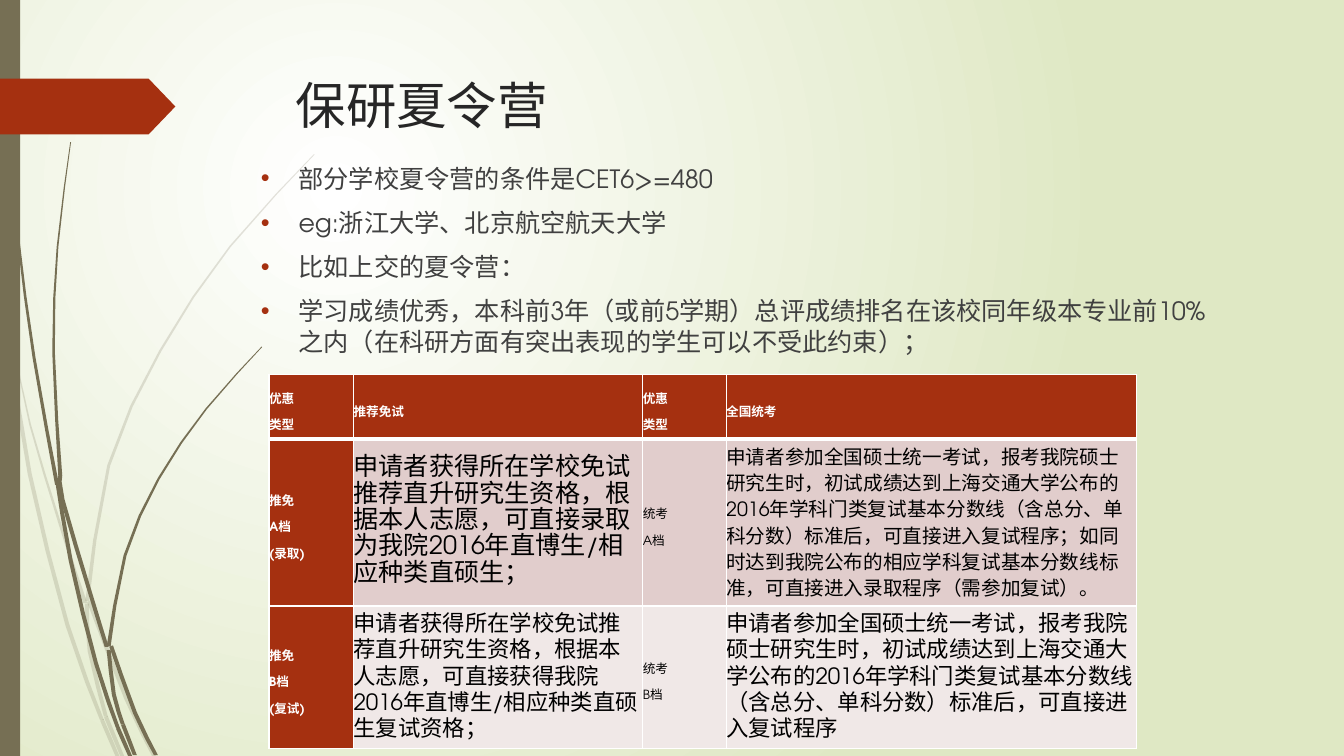
from math import hypot

from pptx import Presentation
from pptx.dml.color import RGBColor
from pptx.enum.shapes import MSO_SHAPE
from pptx.enum.text import MSO_ANCHOR, MSO_AUTO_SIZE, PP_ALIGN
from pptx.oxml import parse_xml
from pptx.oxml.ns import nsdecls, qn
from pptx.util import Cm, Pt

FONT = "TeX Gyre Adventor"
WHITE = RGBColor(0xFF, 0xFF, 0xFF)
BLACK = RGBColor(0, 0, 0)
LIME = RGBColor(0xDF, 0xE8, 0xC4)
OLIVE = RGBColor(0x76, 0x6F, 0x54)
RUST = RGBColor(0xA5, 0x30, 0x10)
ROSE = RGBColor(0xE1, 0xCD, 0xCC)
BLUSH = RGBColor(0xF0, 0xE8, 0xE7)
DARK = RGBColor(0x26, 0x26, 0x26)
GREY = RGBColor(0x40, 0x40, 0x40)


def write(frame, lines, size, color, bold=False, before=0, pitch=None, bullet=None):
    """Fill a text frame, one paragraph per line; bullet is the bullet's colour."""
    frame.word_wrap = True
    for i, line in enumerate(lines):
        para = frame.paragraphs[0] if i == 0 else frame.add_paragraph()
        para.alignment = PP_ALIGN.LEFT
        para.space_before = Pt(before)
        if pitch:
            para.line_spacing = Pt(pitch)
        run = para.add_run()
        run.text = line
        run.font.name = FONT
        run.font.size = Pt(size)
        run.font.bold = bold
        run.font.color.rgb = color
        if bullet:
            props = para._p.get_or_add_pPr()
            props.set("marL", str(Cm(0.95)))
            props.set("indent", str(-Cm(0.95)))
            for part in (f'<a:buClr {nsdecls("a")}><a:srgbClr val="{bullet}"/></a:buClr>',
                         f'<a:buFont {nsdecls("a")} typeface="Arial"/>',
                         f'<a:buChar {nsdecls("a")} char="•"/>'):
                props.append(parse_xml(part))


def trace(knots, steps=2):
    """Points of a smooth (Catmull-Rom) curve through the knots."""
    ends = [knots[0], *knots, knots[-1]]
    points = []
    for a, b, c, d in zip(ends, ends[1:], ends[2:], ends[3:]):
        for t in (n / steps for n in range(steps)):
            points.append(tuple(
                q + t / 2 * (r - p + t * (2 * p - 5 * q + 4 * r - s
                                          + t * (3 * q - p - 3 * r + s)))
                for p, q, r, s in zip(a, b, c, d)))
    return points + [knots[-1]]


deck = Presentation()
deck.slide_width, deck.slide_height = Cm(33.87), Cm(19.05)
slide = deck.slides.add_slide(deck.slide_layouts[1])
shapes = slide.shapes

# Background: radial glow from the upper left
back = slide.background.fill
back.gradient()
for stop, color in zip(back.gradient_stops, (WHITE, LIME)):
    stop.color.rgb = color
grad = slide.element.find(".//" + qn("a:gradFill"))
grad.remove(grad.find(qn("a:lin")))
grad.append(parse_xml(
    f'<a:path {nsdecls("a")} path="circle">'
    '<a:fillToRect l="50000" t="50000" r="100000" b="100000"/></a:path>'))

# Grass: opacity in percent, then the sections of each blade's centre line in cm
blades = [
    (20, [[(0, 7.3), (0.27, 8.89)],
          [(0.27, 8.89), (0.75, 11.94), (1.7, 15.75), (2.57, 18.14)],
          [(2.57, 18.14), (2.96, 19.05)]]),
    (20, [[(0.36, 8.76), (0.76, 10.7), (1.52, 13.23), (2.15, 15.2)],
          [(2.24, 15.15), (3.18, 17.6), (3.88, 19.05)]]),
    (20, [[(7.92, 3.89), (5.8, 6.21), (4.04, 8.84), (2.74, 11.73), (2.2, 15.14)],
          [(2.19, 15.21), (2.26, 16.4), (2.67, 18.06)],
          [(2.67, 18.06), (3.08, 19.05)]]),
    (100, [[(0.1, 0), (0.2, 2.79), (0.45, 5.92), (0.86, 9.02), (1.44, 12.22)],
           [(1.44, 12.12), (1.78, 14.12), (2.42, 16.72), (2.97, 18.34)],
           [(2.97, 18.34), (3.28, 19.05)]]),
    (100, [[(1.78, 3.58), (1.45, 6.22), (1.35, 8.86), (1.52, 11.99)],
           [(1.52, 11.99), (1.58, 12.6), (2.29, 15), (2.69, 16.3)],
           [(2.8, 16.28), (3.4, 17.96), (3.93, 19.03)]]),
    (100, [[(6.6, 8.74), (5.2, 10.3), (4, 12.06), (3.15, 14), (2.74, 16.28)],
           [(2.74, 16.38), (2.87, 17.5), (3.1, 18.26)],
           [(3.1, 18.26), (3.4, 19.03)]]),
]
decor = []
for alpha, parts in blades:
    for n, knots in enumerate(parts):
        line = trace(knots)
        left, right = [], []
        for i, ((x, y), (u, v)) in enumerate(zip(line, line[1:])):
            half = 0.05 if n else 0.01 + 0.04 * i / len(line)
            dx, dy = u - x, v - y
            span = hypot(dx, dy)
            left.append((Cm(x - half * dy / span), Cm(y + half * dx / span)))
            right.append((Cm(x + half * dy / span), Cm(y - half * dx / span)))
        x, y = line[-1]
        rim = left + [(Cm(x - 0.05), Cm(y)), (Cm(x + 0.05), Cm(y))] + right[::-1]
        pen = shapes.build_freeform(*rim[0])
        pen.add_line_segments(rim[1:])
        decor.append((pen.convert_to_shape(), OLIVE, alpha))

bar = shapes.add_shape(MSO_SHAPE.RECTANGLE, 0, 0, Cm(0.51), Cm(19.05))
tag = shapes.add_shape(MSO_SHAPE.PENTAGON, 0, Cm(1.98), Cm(4.42), Cm(1.41))
tag.adjustments[0] = 0.48
decor += [(bar, OLIVE, 100), (tag, RUST, 100)]
for shape, color, alpha in decor:
    shape.shadow.inherit = False
    shape.fill.solid()
    shape.fill.fore_color.rgb = color
    shape.line.fill.background()
    if alpha < 100:
        shape._element.spPr.find(".//" + qn("a:srgbClr")).append(
            parse_xml(f'<a:alpha {nsdecls("a")} val="{alpha * 1000}"/>'))

# Title and list, raised above the grass
title, body = shapes.title, slide.placeholders[1]
for holder, left, top, height in ((title, 7.2, 1.73, 3.56), (body, 6.32, 3.98, 10.49)):
    holder.left, holder.top = Cm(left), Cm(top)
    holder.width, holder.height = Cm(24.77), Cm(height)
    holder.text_frame.vertical_anchor = MSO_ANCHOR.TOP
    holder.text_frame.auto_size = MSO_AUTO_SIZE.NONE
    shapes._spTree.append(holder._element)
write(title.text_frame, ["保研夏令营"], size=36, color=DARK)
write(body.text_frame, [
    "部分学校夏令营的条件是CET6>=480",
    "eg:浙江大学、北京航空航天大学",
    "比如上交的夏令营：",
    "学习成绩优秀，本科前3年（或前5学期）总评成绩排名在该校同年级本专业前10%之内"
    "（在科研方面有突出表现的学生可以不受此约束）；",
], size=18, color=GREY, before=10, bullet=RUST)

# Table: each cell is its text size and its lines
direct = "申请者获得所在学校免试推荐直升研究生资格，根据本人志愿，可直接"
exam = ("申请者参加全国硕士统一考试，报考我院硕士研究生时，初试成绩达到上海交通大学公布的"
        "2016年学科门类复试基本分数线（含总分、单科分数）标准后，可直接进入复试程序")
rows = [
    [(9, ["优惠", "类型"]), (9, ["推荐免试"]), (9, ["优惠", "类型"]), (9, ["全国统考"])],
    [(9, ["推免", "A档", "(录取)"]),
     (18, [direct + "录取为我院2016年直博生/相应种类直硕生；"]),
     (9, ["统考", "A档"]),
     (14, [exam + "；如同时达到我院公布的相应学科复试基本分数线标准，"
                  "可直接进入录取程序（需参加复试）。"])],
    [(9, ["推免", "B档", "(复试)"]),
     (16, [direct + "获得我院2016年直博生/相应种类直硕生复试资格；"]),
     (9, ["统考", "B档"]),
     (16, [exam])],
]
grid = shapes.add_table(3, 4, Cm(6.78), Cm(9.44), Cm(21.84), Cm(9.42)).table
for col, width in zip(grid.columns, (2.13, 7.29, 2.1, 10.34)):
    col.width = Cm(width)
for row, height in zip(grid.rows, (1.62, 4.21, 3.59)):
    row.height = Cm(height)
for r, row in enumerate(rows):
    for c, (size, lines) in enumerate(row):
        cell = grid.cell(r, c)
        head = r == 0 or c == 0
        cell.margin_left = cell.margin_right = cell.margin_top = cell.margin_bottom = 0
        cell.vertical_anchor = MSO_ANCHOR.MIDDLE
        for side in "LRTB":
            thick = (r, side) in ((0, "B"), (1, "T"))
            cell._tc.get_or_add_tcPr().append(parse_xml(
                f'<a:ln{side} {nsdecls("a")} w="{Pt(3 if thick else 1)}"><a:solidFill>'
                f'<a:srgbClr val="{WHITE}"/></a:solidFill></a:ln{side}>'))
        cell.fill.solid()
        cell.fill.fore_color.rgb = RUST if head else (ROSE, BLUSH)[r - 1]
        write(cell.text_frame, lines, size=size, color=WHITE if head else BLACK,
              bold=head, pitch=18.8)

deck.save("out.pptx")
